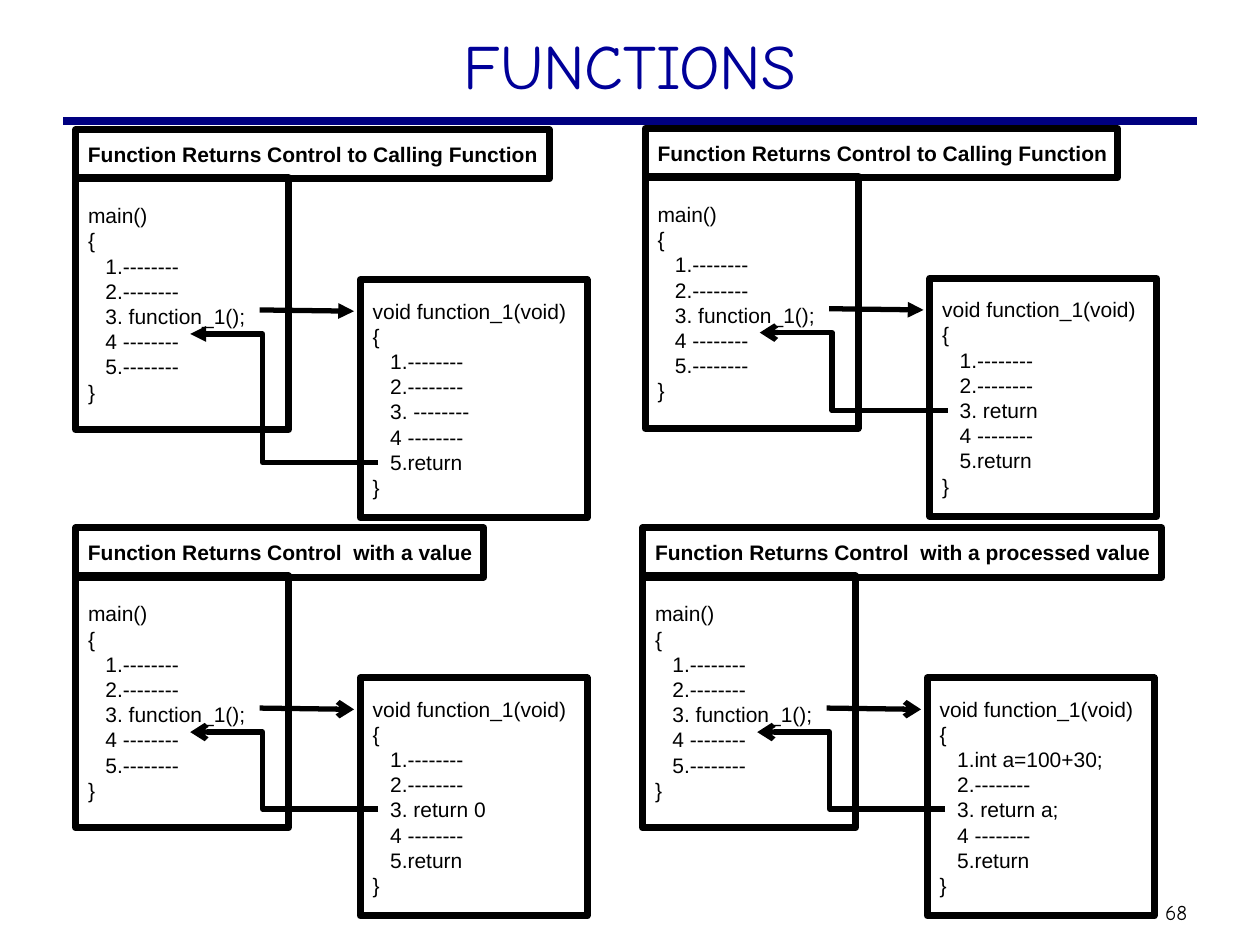
"""Build a slide on four ways in which a C function returns control."""
from dataclasses import dataclass

from lxml import etree
from pptx import Presentation
from pptx import util as u
from pptx.dml.color import RGBColor
from pptx.enum import shapes, text
from pptx.oxml import ns

SCALE = 9144
HUES = {"ink": "000000", "title": "000099", "rule": "000080"}
CODE = {"name": "Arial", "size": u.Pt(12), "bold": False}
HEAD = {**CODE, "bold": True}
TITLE = {"name": "Comic Neue", "size": u.Pt(36)}
PAGE = {"name": "Comic Neue", "size": u.Pt(12)}
DASH = "--------"


@dataclass(frozen=True)
class Box:
    """Hold a frame in px."""
    left: int
    top: int
    width: int
    height: int


@dataclass(frozen=True)
class Panel:
    """Hold one example: its corner, header, body lines and arrowheads."""
    left: int
    top: int
    width: int
    label: str
    first: str
    third: str
    exit: int
    call: str
    back: str


PANELS = [
    Panel(60, 103, 376, "Function Returns Control to Calling Function",
          f"1.{DASH}", f"3. {DASH}", 264, "triangle", "triangle"),
    Panel(512, 102, 375, "Function Returns Control to Calling Function",
          f"1.{DASH}", "3. return", 224, "triangle", "arrow"),
    Panel(60, 419, 324, "Function Returns Control  with a value",
          f"1.{DASH}", "3. return 0", 223, "arrow", "arrow"),
    Panel(510, 419, 412, "Function Returns Control  with a processed value",
          "1.int a=100+30;", "3. return a;", 223, "arrow", "arrow"),
]


def px(*vals: int) -> list[int]:
    """Turn px into EMU."""
    return [u.Emu(val * SCALE) for val in vals]


def hue(key: str) -> RGBColor:
    """Look up a colour."""
    return RGBColor.from_string(HUES[key])


def write(shape, lines: list[str], style: dict, tint: str = "ink",
          align=text.PP_ALIGN.LEFT, pitch=None) -> None:
    """Fill a shape with one paragraph per line."""
    frame = shape.text_frame
    frame.word_wrap = True
    frame.text = "\n".join(lines)
    for para in frame.paragraphs:
        para.alignment = align
        para.line_spacing = pitch
        for key, val in style.items():
            setattr(para.font, key, val)
        para.font.color.rgb = hue(tint)


def frame(slide, box: Box, lines: list[str], style: dict, pitch=None) -> None:
    """Draw an outlined box with text."""
    shape = slide.shapes.add_shape(
        shapes.MSO_SHAPE.RECTANGLE, *px(box.left, box.top, box.width, box.height))
    shape.shadow.inherit = False
    shape.fill.background()
    shape.line.color.rgb = hue("ink")
    shape.line.width = u.Pt(4)
    shape.text_frame.margin_right = 0
    shape.text_frame.vertical_anchor = text.MSO_ANCHOR.MIDDLE
    write(shape, lines, style, pitch=pitch)


def link(slide, kind, ends: tuple[int, ...], width: float, tint: str = "ink",
         tip: str = ""):
    """Draw a connector with an optional arrowhead."""
    line = slide.shapes.add_connector(kind, *px(*ends))
    line.line.color.rgb = hue(tint)
    line.line.width = u.Pt(width)
    if tip:
        etree.SubElement(line.line._get_or_add_ln(), ns.qn("a:tailEnd"), type=tip)
    etree.SubElement(line._element.spPr, ns.qn("a:effectLst"))
    return line


def elbow(slide, ends: tuple[int, ...], tip: str) -> None:
    """Draw a bent arrow from the lower right to the upper left."""
    line = link(slide, shapes.MSO_CONNECTOR.ELBOW, ends, 3, tip=tip)
    props = line._element.spPr
    props.find(ns.qn("a:xfrm")).set("rot", "10800000")
    guides = props.find(ns.qn("a:prstGeom")).find(ns.qn("a:avLst"))
    etree.SubElement(guides, ns.qn("a:gd"), name="adj1", fmla="val 61500")


def body(name: str, *steps: str) -> list[str]:
    """Lay out a function body in braces."""
    return [name, "{", *(f"   {step}" for step in steps), "}"]


def draw(slide, panel: Panel) -> None:
    """Draw one example panel."""
    left, top = panel.left, panel.top
    main = body("main()", f"1.{DASH}", f"2.{DASH}", "3. function_1();",
                f"4 {DASH}", f"5.{DASH}")
    func = body("void function_1(void)", panel.first, f"2.{DASH}", panel.third,
                f"4 {DASH}", "5.return")
    frame(slide, Box(left, top + 38, 169, 200), main, CODE, u.Pt(14.4))
    link(slide, shapes.MSO_CONNECTOR.STRAIGHT,
         (left + 146, top + 143, left + 221, top + 144), 3, tip=panel.call)
    elbow(slide, (left + 91, top + 162, left + 240, top + panel.exit), panel.back)
    frame(slide, Box(left + 226, top + 119, 180, 189), func, CODE, u.Pt(14.4))
    frame(slide, Box(left, top, panel.width, 39), [panel.label], HEAD)


def main() -> None:
    """Build and save the deck."""
    deck = Presentation()
    deck.slide_width, deck.slide_height = px(1000, 750)
    slide = deck.slides.add_slide(deck.slide_layouts[6])
    link(slide, shapes.MSO_CONNECTOR.STRAIGHT, (50, 96, 950, 96), 4.5, "rule")
    title = slide.shapes.add_textbox(*px(75, 16, 850, 76))
    write(title, ["FUNCTIONS"], TITLE, "title", text.PP_ALIGN.CENTER)
    page = slide.shapes.add_textbox(*px(910, 709, 47, 30))
    page.text_frame.vertical_anchor = text.MSO_ANCHOR.MIDDLE
    write(page, ["68"], PAGE, align=text.PP_ALIGN.CENTER)
    for panel in PANELS:
        draw(slide, panel)
    deck.save("out.pptx")


if __name__ == "__main__":
    main()
